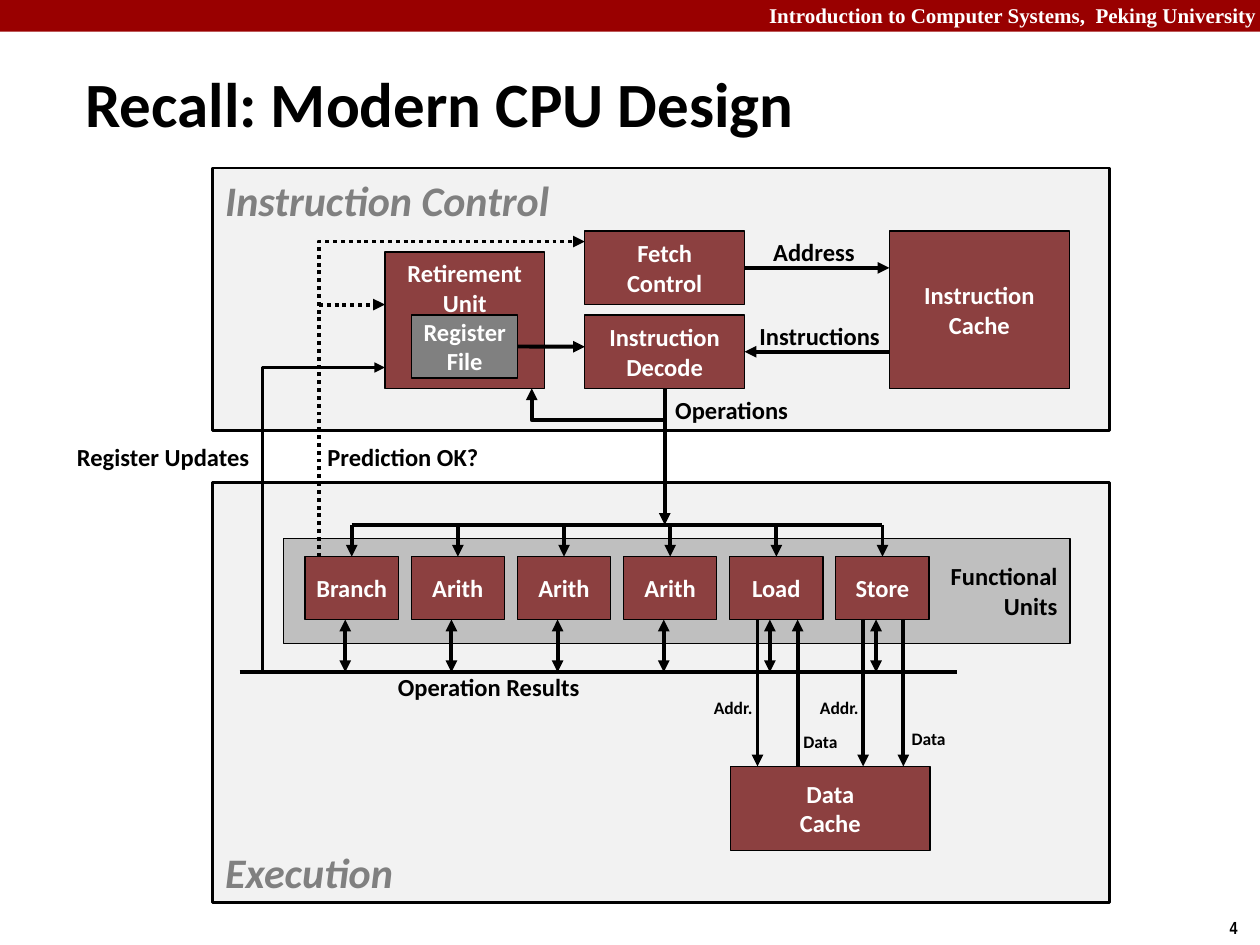
from lxml import etree
from pptx import Presentation
from pptx.dml.color import RGBColor
from pptx.enum.dml import MSO_LINE
from pptx.enum.shapes import MSO_CONNECTOR, MSO_SHAPE
from pptx.enum.text import MSO_ANCHOR, MSO_AUTO_SIZE, PP_ALIGN
from pptx.oxml.ns import qn
from pptx.util import Cm, Pt

RECTANGLE = MSO_SHAPE.RECTANGLE
STRAIGHT = MSO_CONNECTOR.STRAIGHT
DOTTED = MSO_LINE.ROUND_DOT
LEFT, CENTER, RIGHT = PP_ALIGN.LEFT, PP_ALIGN.CENTER, PP_ALIGN.RIGHT
TOP, MIDDLE, BOTTOM = MSO_ANCHOR.TOP, MSO_ANCHOR.MIDDLE, MSO_ANCHOR.BOTTOM
TOP_SIDE, BOTTOM_SIDE, RIGHT_SIDE, LEFT_SIDE = 0, 2, 3, 1

BLACK = RGBColor(0x00, 0x00, 0x00)
WHITE = RGBColor(0xFF, 0xFF, 0xFF)
BANNER_RED = RGBColor(0x99, 0x00, 0x00)
UNIT_RED = RGBColor(0x8C, 0x40, 0x40)
PANEL_GRAY = RGBColor(0xF2, 0xF2, 0xF2)
GROUP_GRAY = RGBColor(0xBF, 0xBF, 0xBF)
DARK_GRAY = RGBColor(0x80, 0x80, 0x80)


def write(shape, text, size, color, align, anchor=TOP, font_name="Calibri", italic=None):
    frame = shape.text_frame
    frame.word_wrap = False
    frame.vertical_anchor = anchor
    frame.text = text
    for paragraph in frame.paragraphs:
        paragraph.alignment = align
        font = paragraph.font
        font.name, font.size, font.bold, font.italic = font_name, Pt(size), True, italic
        font.color.rgb = color


def style_line(shape, width=2.25, head=False, tail=False, dash=None):
    line = shape.line
    line.color.rgb = BLACK
    line.width = Pt(width)
    if dash:
        line.dash_style = dash
    properties = shape.element.spPr
    outline = properties.find(qn("a:ln"))
    for tag, wanted in (("a:headEnd", head), ("a:tailEnd", tail)):
        if wanted:
            etree.SubElement(outline, qn(tag), type="triangle")
    if properties.find(qn("a:effectLst")) is None:
        etree.SubElement(properties, qn("a:effectLst"))


presentation = Presentation()
presentation.slide_width, presentation.slide_height = Cm(25.4), Cm(19.05)
slide = presentation.slides.add_slide(presentation.slide_layouts[6])
shapes = slide.shapes

# Banner
banner = shapes.add_shape(RECTANGLE, 0, 0, Cm(25.4), Cm(0.64))
banner.shadow.inherit = False
banner.fill.solid()
banner.fill.fore_color.rgb = BANNER_RED
banner.line.fill.background()
course = shapes.add_textbox(Cm(15.24), Cm(-0.08), Cm(10.34), Cm(0.76))
write(course, "Introduction to Computer Systems,  Peking University ", 12, WHITE, RIGHT,
      font_name="Times New Roman")
course.text_frame.word_wrap = True

# Title and page number
title = shapes.add_textbox(Cm(1.47), Cm(1.27), Cm(16.28), Cm(1.6))
write(title, "Recall: Modern CPU Design", 36, BLACK, LEFT, MIDDLE)
page_number = shapes.add_textbox(Cm(24.54), Cm(18.36), Cm(0.86), Cm(0.69))
write(page_number, "4", 10, BLACK, LEFT, font_name="Arial Narrow")

# Panels: text, left, top, width, height, fill, line width, size, colour, align, anchor, italic
panels = [
    ("Execution", 4.29, 9.73, 18.08, 8.47, PANEL_GRAY, 1.5, 24, DARK_GRAY, LEFT, BOTTOM, True),
    ("Functional\nUnits", 5.72, 10.85, 15.85, 2.12, GROUP_GRAY, 0.75, 14, BLACK, RIGHT, MIDDLE, None),
    ("Instruction Control", 4.29, 3.39, 18.08, 5.29, PANEL_GRAY, 1.5, 24, DARK_GRAY, LEFT, TOP, True),
]
# Blocks: text, left, top, width, height, fill, anchor
blocks = [
    ("Instruction\nCache", 17.93, 4.66, 3.63, 3.17, UNIT_RED, MIDDLE),
    ("Data\nCache", 14.73, 15.45, 4.02, 1.69, UNIT_RED, MIDDLE),
    ("Fetch\nControl", 11.79, 4.66, 3.22, 1.48, UNIT_RED, MIDDLE),
    ("Instruction\nDecode", 11.79, 6.35, 3.22, 1.48, UNIT_RED, MIDDLE),
    ("Retirement\nUnit", 7.76, 5.08, 3.22, 2.75, UNIT_RED, TOP),
    ("Register\nFile", 8.3, 6.35, 2.14, 1.27, DARK_GRAY, MIDDLE),
]
UNIT_PITCH, UNIT_TOP, UNIT_BOTTOM, UNIT_WIDTH = 2.14, 11.22, 12.49, 1.88
unit_names = ["Branch", "Arith", "Arith", "Arith", "Load", "Store"]
unit_blocks = [
    (name, 6.15 + index * UNIT_PITCH, UNIT_TOP, UNIT_WIDTH, UNIT_BOTTOM - UNIT_TOP, UNIT_RED, MIDDLE)
    for index, name in enumerate(unit_names)
]
boxes = panels + [
    (*block[:6], 0.75, 14, WHITE, CENTER, block[6], None) for block in blocks + unit_blocks
]
drawn = []
for text, left, top, width, height, fill, line_width, size, color, align, anchor, italic in boxes:
    box = shapes.add_shape(RECTANGLE, Cm(left), Cm(top), Cm(width), Cm(height))
    box.shadow.inherit = False
    box.fill.solid()
    box.fill.fore_color.rgb = fill
    box.line.color.rgb = BLACK
    box.line.width = Pt(line_width)
    write(box, text, size, color, align, anchor, italic=italic)
    drawn.append(box)
instruction_cache, data_cache, fetch, decode, retirement, register_file = drawn[3:9]
units = drawn[9:]

# Straight lines: x1, y1, x2, y2, head, tail, dash, (begin shape, side), (end shape, side)
DISPATCH_Y, RESULT_Y, CACHE_Y = 10.58, 13.55, 15.45
FIRST_CENTER = 6.15 + UNIT_WIDTH / 2
LAST_CENTER = FIRST_CENTER + 5 * UNIT_PITCH
lines = [
    (15.01, 5.4, 17.93, 5.4, False, True, None, (fetch, RIGHT_SIDE), None),
    (17.93, 7.09, 15.01, 7.09, False, True, None, None, (decode, RIGHT_SIDE)),
    (13.4, 7.83, 13.4, DISPATCH_Y, False, True, None, (decode, BOTTOM_SIDE), None),
    (10.44, 6.99, 11.79, 6.99, False, True, None, (register_file, RIGHT_SIDE), None),
    (6.43, 6.14, 7.76, 6.14, False, True, DOTTED, None, None),
    (FIRST_CENTER, DISPATCH_Y, LAST_CENTER, DISPATCH_Y, False, False, None, None, None),
    (4.83, RESULT_Y, 19.3, RESULT_Y, False, False, None, None, None),
    (16.08, CACHE_Y, 16.08, UNIT_BOTTOM, False, True, None, None, None),
]
for x in (15.27, 17.4, 18.21):
    lines.append((x, UNIT_BOTTOM, x, CACHE_Y, False, True, None, None, None))
for index, unit in enumerate(units):
    x = FIRST_CENTER + index * UNIT_PITCH
    lines.append((x, DISPATCH_Y, x, UNIT_TOP, False, True, None, None, (unit, TOP_SIDE)))
    x = 6.96 + index * UNIT_PITCH
    lines.append((x, UNIT_BOTTOM, x, RESULT_Y, True, True, None, None, None))
for x1, y1, x2, y2, head, tail, dash, begin, end in lines:
    connector = shapes.add_connector(STRAIGHT, Cm(x1), Cm(y1), Cm(x2), Cm(y2))
    if begin:
        connector.begin_connect(*begin)
    if end:
        connector.end_connect(*end)
    style_line(connector, head=head, tail=tail, dash=dash)

# Bent arrows, each ending at its last point
bent_arrows = [
    ([(6.43, UNIT_TOP), (6.43, 4.87), (11.79, 4.87)], 2.25, DOTTED),    # prediction
    ([(5.29, RESULT_Y), (5.29, 7.41), (7.76, 7.41)], 1.5, None),        # register updates
    ([(13.4, 8.47), (10.72, 8.47), (10.72, 7.83)], 2.25, None),         # operations
]
for points, width, dash in bent_arrows:
    start, *rest = [(Cm(x), Cm(y)) for x, y in points]
    builder = shapes.build_freeform(*start)
    builder.add_line_segments(rest, close=False)
    arrow = builder.convert_to_shape()
    arrow.fill.background()
    style_line(arrow, width, tail=True, dash=dash)

# Labels: text, left, top, width, size, align
labels = [
    ("Address", 15.32, 4.66, 2.18, 14, CENTER),
    ("Instructions", 15.04, 6.35, 2.97, 14, CENTER),
    ("Operations", 13.34, 7.83, 2.82, 14, CENTER),
    ("Prediction OK?", 6.35, 8.79, 3.58, 14, LEFT),
    ("Register Updates", 1.27, 8.79, 4.01, 14, RIGHT),
    ("Operation Results", 7.77, 13.42, 4.22, 14, LEFT),
    ("Data", 18.11, 14.55, 1.22, 10, CENTER),
    ("Data", 15.93, 14.61, 1.22, 10, CENTER),
    ("Addr.", 14.12, 13.92, 1.32, 10, CENTER),
    ("Addr.", 16.26, 13.92, 1.32, 10, CENTER),
]
for text, left, top, width, size, align in labels:
    label = shapes.add_textbox(Cm(left), Cm(top), Cm(width), Cm(0.86 if size == 14 else 0.69))
    write(label, text, size, BLACK, align)
    label.text_frame.auto_size = MSO_AUTO_SIZE.SHAPE_TO_FIT_TEXT

presentation.save("out.pptx")
